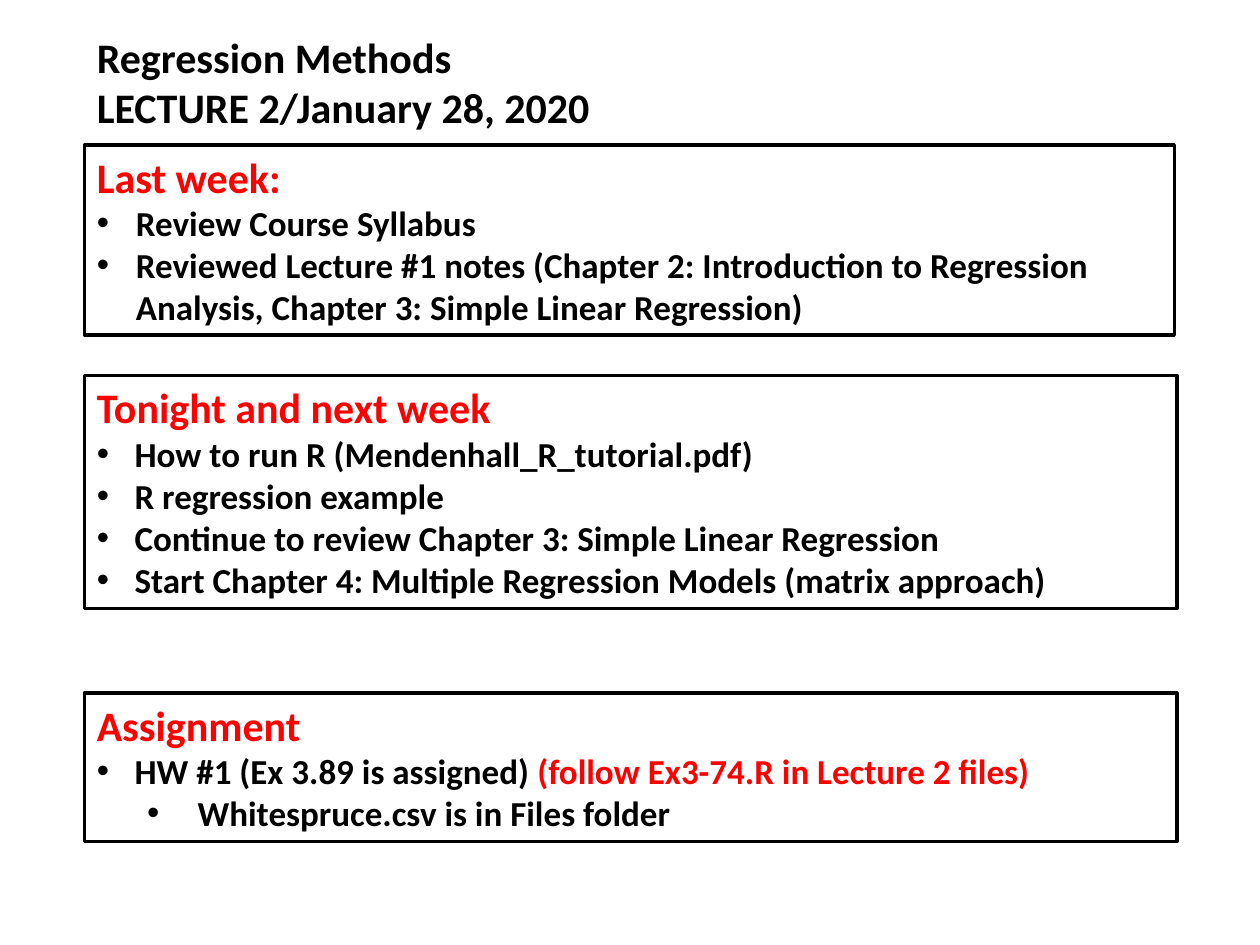
from dataclasses import dataclass

from lxml import etree
from pptx import Presentation
from pptx.dml.color import RGBColor
from pptx.enum.shapes import MSO_SHAPE
from pptx.enum.text import MSO_ANCHOR, MSO_AUTO_SIZE, PP_ALIGN
from pptx.oxml.ns import qn
from pptx.util import Inches, Pt

RECTANGLE = MSO_SHAPE.RECTANGLE
TOP = MSO_ANCHOR.TOP
FIT_SHAPE = MSO_AUTO_SIZE.SHAPE_TO_FIT_TEXT
LEFT = PP_ALIGN.LEFT


@dataclass(frozen=True)
class Theme:
    """Colours, font and type sizes of the slide."""
    ink: RGBColor = RGBColor(0, 0, 0)
    accent: RGBColor = RGBColor(255, 0, 0)
    paper: RGBColor = RGBColor(255, 255, 255)
    font: str = "Calibri"
    heading: int = 24
    body: int = 20
    border: int = 2


THEME = Theme()


@dataclass(frozen=True)
class Item:
    """A bulleted line with an optional accented ending; lengths in inches."""
    text: str
    accent: str = ""
    margin: float = 0.3
    hanging: float = 0.3
    level: int = 0


@dataclass(frozen=True)
class Section:
    """A bordered box with a heading and bulleted items; lengths in inches."""
    heading: str
    top: float
    width: float
    height: float
    items: tuple[Item, ...]
    filled: bool = True


LEFT_EDGE = 0.67
COURSE_LINES = ("Regression Methods", "LECTURE 2/January 28, 2020")
SECTIONS = (
    Section("Last week:", 1.15, 8.65, 1.51, (
        Item("Review Course Syllabus", margin=0.31, hanging=0.31),
        Item("Reviewed Lecture #1 notes (Chapter 2: Introduction to Regression "
             "Analysis, Chapter 3: Simple Linear Regression)",
             margin=0.31, hanging=0.31),
    ), filled=False),
    Section("Tonight and next week", 2.98, 8.67, 1.85, (
        Item("How to run R (Mendenhall_R_tutorial.pdf)"),
        Item("R regression example"),
        Item("Continue to review Chapter 3: Simple Linear Regression"),
        Item("Start Chapter 4: Multiple Regression Models (matrix approach)", level=1),
    )),
    Section("Assignment", 5.5, 8.67, 1.18, (
        Item("HW #1 (Ex 3.89 is assigned) ", "(follow Ex3-74.R in Lecture 2 files)",
             level=1),
        Item("Whitespruce.csv is in Files folder", margin=0.8, hanging=0.4, level=2),
    )),
)


def prepare_frame(frame) -> None:
    """Wrap text from the top and let the shape fit it."""
    frame.word_wrap = True
    frame.auto_size = FIT_SHAPE
    frame.vertical_anchor = TOP


def add_text(paragraph, text: str, size: int, color: RGBColor) -> None:
    """Append one bold run to a paragraph."""
    run = paragraph.add_run()
    run.text = text
    run.font.name = THEME.font
    run.font.size = Pt(size)
    run.font.bold = True
    run.font.color.rgb = color


def set_bullet(paragraph, item: Item) -> None:
    """Give a paragraph a hanging round bullet."""
    properties = paragraph._p.get_or_add_pPr()
    properties.set("marL", str(Inches(item.margin)))
    properties.set("indent", str(-Inches(item.hanging)))
    etree.SubElement(properties, qn("a:buFont")).set("typeface", "Arial")
    etree.SubElement(properties, qn("a:buChar")).set("char", "•")


def add_course_title(slide) -> None:
    """Write the course name and lecture date."""
    frame = slide.shapes.add_textbox(
        Inches(LEFT_EDGE), Inches(0.2), Inches(8), Inches(0.91)).text_frame
    prepare_frame(frame)
    for index, line in enumerate(COURSE_LINES):
        paragraph = frame.add_paragraph() if index else frame.paragraphs[0]
        add_text(paragraph, line, THEME.heading, THEME.ink)


def add_section(slide, section: Section) -> None:
    """Draw one bordered section with its heading and items."""
    box = slide.shapes.add_shape(
        RECTANGLE, Inches(LEFT_EDGE), Inches(section.top),
        Inches(section.width), Inches(section.height))
    box.shadow.inherit = False
    if section.filled:
        box.fill.solid()
        box.fill.fore_color.rgb = THEME.paper
    else:
        box.fill.background()
    box.line.color.rgb = THEME.ink
    box.line.width = Pt(THEME.border)
    frame = box.text_frame
    prepare_frame(frame)
    heading = frame.paragraphs[0]
    heading.alignment = LEFT
    add_text(heading, section.heading, THEME.heading, THEME.accent)
    for item in section.items:
        paragraph = frame.add_paragraph()
        paragraph.alignment = LEFT
        paragraph.level = item.level
        set_bullet(paragraph, item)
        add_text(paragraph, item.text, THEME.body, THEME.ink)
        if item.accent:
            add_text(paragraph, item.accent, THEME.body, THEME.accent)


def build() -> None:
    """Build and save the lecture overview."""
    deck = Presentation()
    deck.slide_width, deck.slide_height = Inches(10), Inches(7.5)
    slide = deck.slides.add_slide(deck.slide_layouts[6])
    add_course_title(slide)
    for section in SECTIONS:
        add_section(slide, section)
    deck.save("out.pptx")


build()
